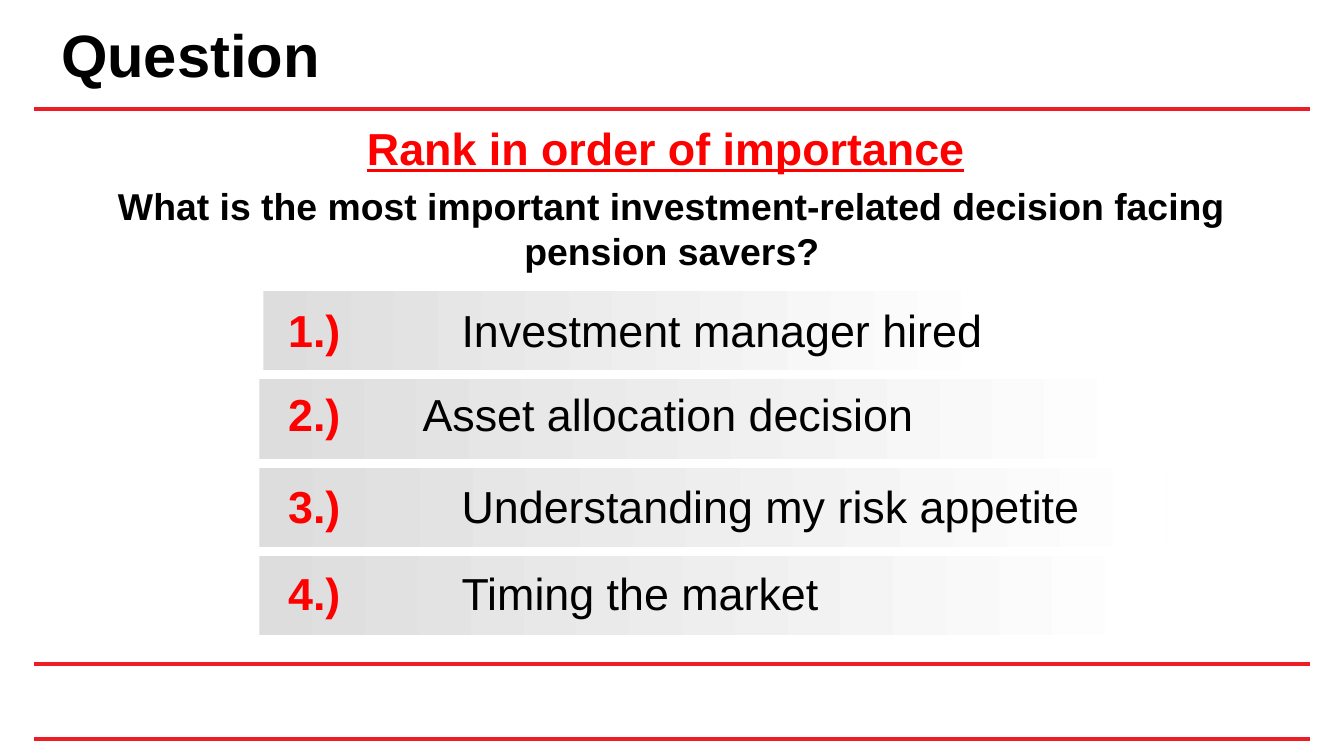
from dataclasses import dataclass

from lxml.etree import SubElement
from pptx import Presentation
from pptx.dml.color import RGBColor
from pptx.enum.shapes import MSO_CONNECTOR, MSO_SHAPE
from pptx.enum.text import MSO_ANCHOR, MSO_AUTO_SIZE, PP_ALIGN
from pptx.oxml.ns import qn
from pptx.util import Pt


@dataclass(frozen=True)
class Theme:
    font: str = "Arial"
    black: RGBColor = RGBColor(0, 0, 0)
    red: RGBColor = RGBColor(255, 0, 0)
    rule: RGBColor = RGBColor(0xEE, 0x1C, 0x25)
    bar_start: RGBColor = RGBColor(0xDD, 0xDD, 0xDD)
    bar_end: RGBColor = RGBColor(255, 255, 255)
    title_size: int = 32
    large_size: int = 24
    question_size: int = 20


@dataclass(frozen=True)
class Answer:
    text: str
    bar_left: float
    bar_width: float
    text_top: float
    text_width: float
    indent: float = 35.3
    hanging: float = -20.9
    line_spacing: float = 1.0


THEME = Theme()
RULE_TOPS = (58.3, 355.7, 396)
FIRST_BAR_TOP, BAR_STEP, BAR_HEIGHT = 155.9, 47.3, 42.5
TAB_STEP = 72
ANSWERS = (
    Answer("Investment manager hired", 141.1, 397.4, 158.4, 507.6),
    Answer("Asset allocation decision", 139, 476.6, 208.1, 404.6,
           indent=14.4, hanging=0, line_spacing=0.85),
    Answer("Understanding my risk appetite", 139, 486, 252.7, 519.1),
    Answer("Timing the market", 139, 481, 299.5, 411.8),
)


def place(shape, left, top, width, height):
    shape.left, shape.top = Pt(left), Pt(top)
    shape.width, shape.height = Pt(width), Pt(height)


def set_indent(paragraph, left=0, first=0):
    """Set the indents and switch the bullet off."""
    properties = paragraph._p.get_or_add_pPr()
    properties.set("marL", str(Pt(left)))
    properties.set("indent", str(Pt(first)))
    SubElement(properties, qn("a:buNone"))
    return properties


def set_tab(properties, step):
    """Set the first tab stop and the default distance between stops."""
    properties.set("defTabSz", str(Pt(step)))
    tab_list = SubElement(properties, qn("a:tabLst"))
    SubElement(tab_list, qn("a:tab"), pos=str(Pt(step)), algn="l")


def style_font(font, size, color=THEME.black, bold=True):
    font.name, font.size, font.bold = THEME.font, Pt(size), bold
    font.color.rgb = color


def add_run(paragraph, text, size, color, bold=True, underline=False):
    run = paragraph.add_run()
    run.text = text
    style_font(run.font, size, color, bold)
    run.font.underline = underline


def add_rule(slide, top):
    rule = slide.shapes.add_connector(
        MSO_CONNECTOR.STRAIGHT, Pt(18), Pt(top), Pt(702), Pt(top))
    rule.line.color.rgb = THEME.rule
    rule.line.width = Pt(2)
    SubElement(rule._element.spPr, qn("a:effectLst"))


def add_bar(slide, answer, top):
    bar = slide.shapes.add_shape(
        MSO_SHAPE.RECTANGLE, Pt(answer.bar_left), Pt(top),
        Pt(answer.bar_width), Pt(BAR_HEIGHT))
    bar.shadow.inherit = False
    bar.line.fill.background()
    bar.fill.gradient()
    bar.fill.gradient_angle = 0
    for stop, color in zip(bar.fill.gradient_stops,
                           (THEME.bar_start, THEME.bar_end)):
        stop.color.rgb = color


def add_answer_text(slide, number, answer):
    box = slide.shapes.add_textbox(
        Pt(132.9), Pt(answer.text_top), Pt(answer.text_width), Pt(30))
    box.text_frame.word_wrap = True
    paragraph = box.text_frame.paragraphs[0]
    set_tab(set_indent(paragraph, answer.indent, answer.hanging), TAB_STEP)
    paragraph.line_spacing = answer.line_spacing
    add_run(paragraph, f"{number}.) \t", THEME.large_size, THEME.red)
    add_run(paragraph, answer.text, THEME.large_size, THEME.black, bold=False)


def fill_title(title):
    place(title, 25.5, 8.2, 648, 41)
    frame = title.text_frame
    frame.text = "Question"
    frame.auto_size = MSO_AUTO_SIZE.NONE
    frame.vertical_anchor = MSO_ANCHOR.MIDDLE
    paragraph = frame.paragraphs[0]
    paragraph.alignment = PP_ALIGN.LEFT
    style_font(paragraph.font, THEME.title_size)


def fill_body(body):
    place(body, 25.5, 61.1, 668.9, 89.3)
    frame = body.text_frame
    frame.auto_size = MSO_AUTO_SIZE.NONE
    heading, question = frame.paragraphs[0], frame.add_paragraph()
    for paragraph, space in ((heading, 0), (question, 4.7)):
        set_indent(paragraph)
        paragraph.alignment = PP_ALIGN.CENTER
        paragraph.space_before = Pt(space)
    add_run(heading, "Rank in order of importance", THEME.large_size,
            THEME.red, underline=True)
    add_run(heading, " ", THEME.large_size, THEME.black)
    question.text = ("What is the most important investment-related "
                     "decision facing pension savers?")
    style_font(question.font, THEME.question_size)


def main():
    presentation = Presentation()
    presentation.slide_width, presentation.slide_height = Pt(720), Pt(405)
    slide = presentation.slides.add_slide(presentation.slide_layouts[1])
    fill_title(slide.shapes.title)
    fill_body(slide.placeholders[1])
    for top in RULE_TOPS:
        add_rule(slide, top)
    for index, answer in enumerate(ANSWERS):
        add_bar(slide, answer, FIRST_BAR_TOP + index * BAR_STEP)
        add_answer_text(slide, index + 1, answer)
    presentation.save("out.pptx")


if __name__ == "__main__":
    main()
